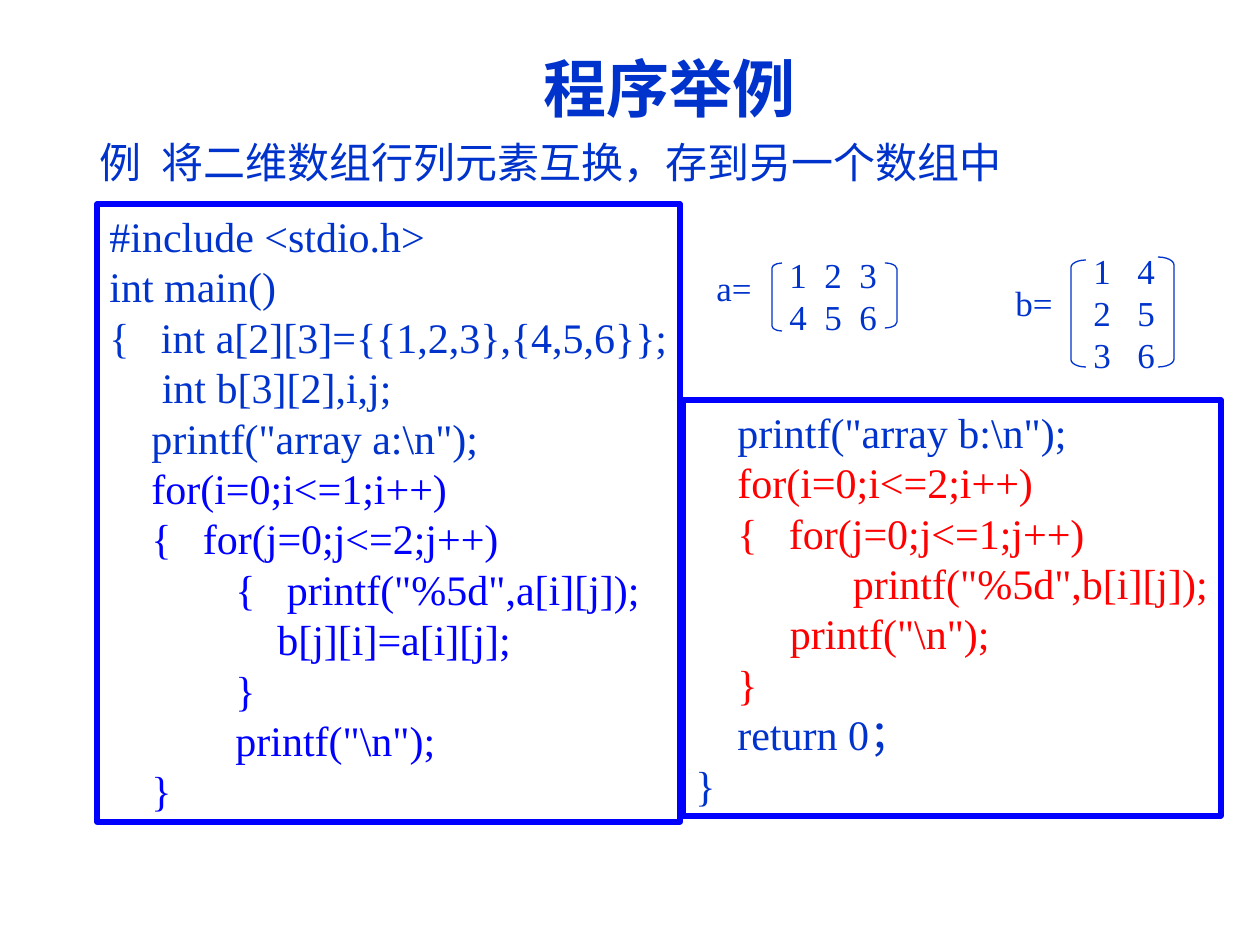
from lxml.etree import SubElement
from pptx import Presentation
from pptx.dml.color import RGBColor
from pptx.enum.lang import MSO_LANGUAGE_ID as Lang
from pptx.enum.shapes import MSO_SHAPE as Shape
from pptx.enum.text import MSO_ANCHOR as Anchor, PP_ALIGN as Align
from pptx.oxml.ns import qn
from pptx.util import Emu, Pt

PX_PER_INCH = 126
EMU_PER_PX = 914400 / PX_PER_INCH

INK = RGBColor(0x00, 0x33, 0xCC)
BLUE = RGBColor(0x00, 0x00, 0xFF)
RED = RGBColor(0xFF, 0x00, 0x00)
WHITE = RGBColor(0xFF, 0xFF, 0xFF)


def px(length):
    return Emu(round(length * EMU_PER_PX))


class SlideBuilder:
    font_name = "Times New Roman"
    line_ratio = 1.2

    def __init__(self, slide):
        self.slide = slide

    def _write(self, frame, lines, size, tabs=(), align=Align.LEFT, bold=False, spaced=True):
        """Fill a text frame with (text, colour) lines."""
        for index, (text, color) in enumerate(lines):
            paragraph = frame.paragraphs[0] if index == 0 else frame.add_paragraph()
            if tabs:
                tab_list = SubElement(paragraph._p.get_or_add_pPr(), qn("a:tabLst"))
                for stop in tabs:
                    SubElement(tab_list, qn("a:tab"), pos=str(px(stop)), algn="l")
            paragraph.alignment = align
            if spaced:
                paragraph.line_spacing = Pt(size * self.line_ratio)
            run = paragraph.add_run()
            run.text = text
            style = {"name": self.font_name, "size": Pt(size), "bold": bold,
                     "language_id": Lang.SIMPLIFIED_CHINESE}
            for attribute, value in style.items():
                setattr(run.font, attribute, value)
            run.font.color.rgb = color

    def text(self, box, rows, size, anchor=Anchor.TOP, **style):
        frame = self.slide.shapes.add_textbox(*map(px, box)).text_frame
        layout = {"word_wrap": True, "vertical_anchor": anchor}
        if style.get("align") != Align.CENTER:
            layout["margin_right"] = 0
        for attribute, value in layout.items():
            setattr(frame, attribute, value)
        self._write(frame, [(row, INK) for row in rows], size, **style)

    def _outline(self, kind, box, color, width):
        shape = self.slide.shapes.add_shape(kind, *map(px, box))
        shape.shadow.inherit = False
        shape.line.color.rgb = color
        shape.line.width = Pt(width)
        return shape

    def bracket(self, kind, box):
        bracket = self._outline(kind, box, INK, 0.75)
        bracket.fill.background()
        bracket.adjustments[0] = 0.5

    def code(self, box, sections):
        panel = self._outline(Shape.RECTANGLE, box, BLUE, 3)
        panel.fill.solid()
        panel.fill.fore_color.rgb = WHITE
        frame = panel.text_frame
        frame.word_wrap = False
        frame.vertical_anchor = Anchor.MIDDLE
        lines = [(line, color) for color, block in sections for line in block]
        self._write(frame, lines, 24, tabs=(PX_PER_INCH,))

    def matrix(self, label, label_box, rows, rows_box, tabs, left_box, right_box):
        self.text(label_box, [label], 20)
        self.text(rows_box, rows, 20, tabs=tabs)
        self.bracket(Shape.LEFT_BRACKET, left_box)
        self.bracket(Shape.RIGHT_BRACKET, right_box)


READ_CODE = [
    (INK, [
        "#include <stdio.h>",
        "int main()",
        "{   int a[2][3]={{1,2,3},{4,5,6}};",
        "     int b[3][2],i,j;",
        r'    printf("array a:\n");',
    ]),
    (BLUE, [
        "    for(i=0;i<=1;i++)",
        "    {   for(j=0;j<=2;j++)",
        '\t{   printf("%5d",a[i][j]);',
        "\t    b[j][i]=a[i][j];",
        "\t}",
        "\t" + r'printf("\n");',
        "    }",
    ]),
]

PRINT_CODE = [
    (INK, [r'    printf("array b:\n");']),
    (RED, [
        "    for(i=0;i<=2;i++)",
        "    {   for(j=0;j<=1;j++)",
        '\t   printf("%5d",b[i][j]);',
        r'         printf("\n");',
        "    }",
    ]),
    (INK, ["    return 0；", "}"]),
]


def main():
    deck = Presentation()
    deck.slide_width, deck.slide_height = px(1260), px(945)
    builder = SlideBuilder(deck.slides.add_slide(deck.slide_layouts[6]))

    # Title and task
    builder.text((118, 43, 1102, 88), ["程序举例"], 36, anchor=Anchor.MIDDLE,
                 align=Align.CENTER, bold=True, spaced=False)
    builder.text((87, 130, 926, 63), ["例\t将二维数组行列元素互换，存到另一个数组中"], 24,
                 tabs=(62,), spaced=False)

    # Matrix a and its transpose b
    builder.matrix("a=", (704, 260, 61, 55),
                   ["1\t2\t3", "4\t5\t6"], (777, 247, 113, 97), (35, 70),
                   (772, 263, 10, 68), (885, 263, 12, 65))
    builder.matrix("b=", (1003, 275, 61, 55),
                   ["1\t4", "2\t5", "3\t6"], (1081, 243, 86, 139), (44,),
                   (1071, 260, 15, 107), (1158, 257, 16, 110))

    # Program in two panels
    builder.code((97, 204, 583, 618), READ_CODE)
    builder.code((683, 400, 538, 416), PRINT_CODE)

    deck.save("out.pptx")


if __name__ == "__main__":
    main()
